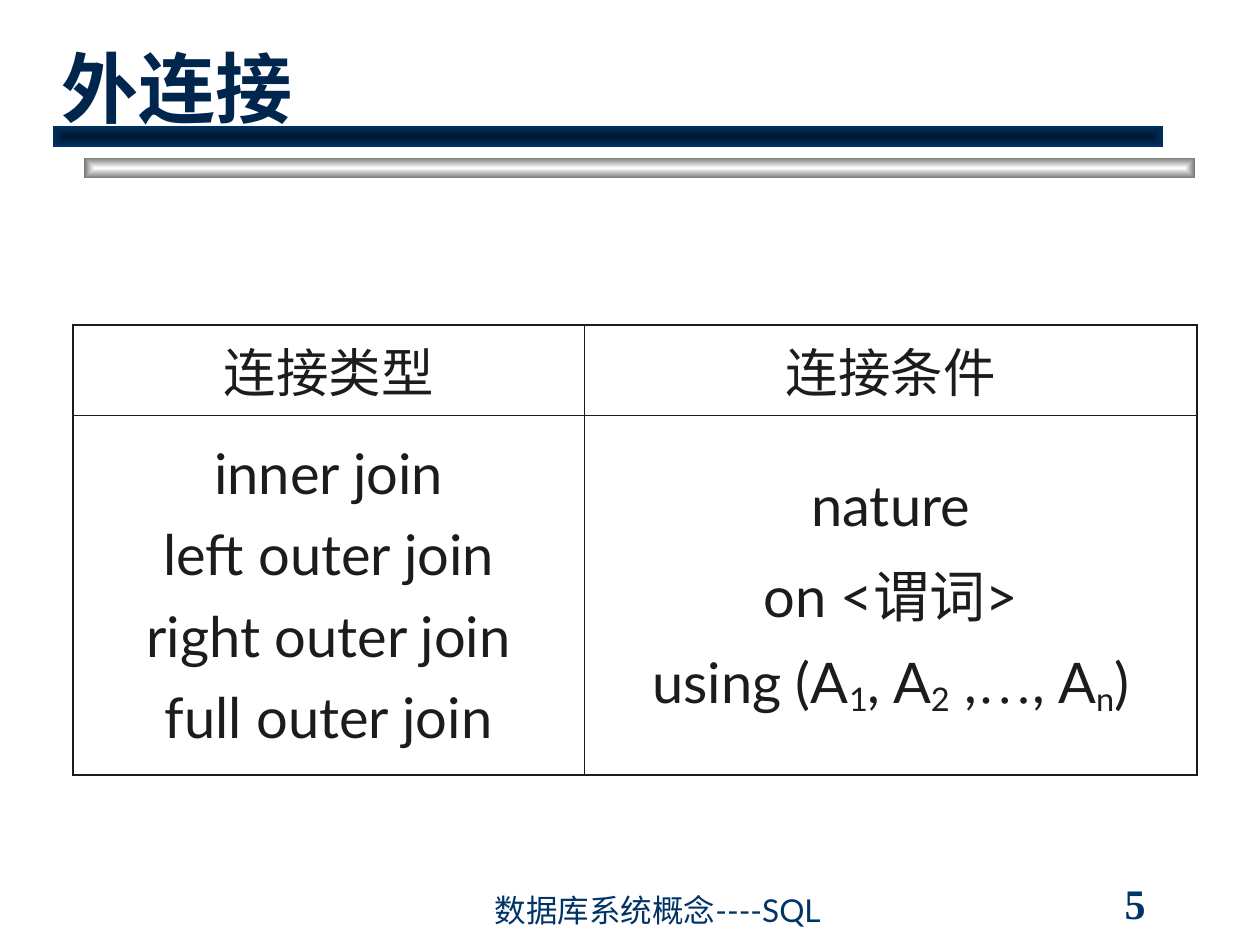
from lxml import etree
from pptx import Presentation
from pptx import util as u
from pptx.dml.color import RGBColor
from pptx.enum import shapes, text
from pptx.oxml import parse_xml
from pptx.oxml.ns import nsdecls, qn

WIDTH, HEIGHT = u.Inches(10), u.Inches(7.5)
WHITE = RGBColor(0xFF, 0xFF, 0xFF)
GREY = RGBColor(0x76, 0x76, 0x76)
NIGHT = RGBColor(0x00, 0x18, 0x2F)
BLUE = RGBColor(0x00, 0x33, 0x66)
NAVY = RGBColor(0x00, 0x26, 0x4D)
INK = RGBColor(0x1C, 0x1C, 0x1C)
BODY_FONT, NUMBER_FONT = "Lato", "Times New Roman"
OUTER_LINE, INNER_LINE = 1.08, 0.45
SUBSCRIPT = "-14000"

HEADINGS = ["连接类型", "连接条件"]
JOIN_TYPES = ["inner join", "left outer join", "right outer join", "full outer join"]
CONDITIONS = [
    ["nature"],
    ["on <谓词>"],
    ["using (A", ("1", True), ", A", ("2", True), " ,", "…", ", A", ("n", True), ")"],
]


def share(left, top, width, height):
    """Turn shares of the slide's size into a box."""
    return tuple(round(part * side) for part, side in
                 zip((left, top, width, height), (WIDTH, HEIGHT) * 2))


def place(shape, box):
    """Move a shape into a box."""
    shape.left, shape.top, shape.width, shape.height = box


def add_run(paragraph, words, size, color, font=BODY_FONT, bold=False, lowered=False):
    """Add one formatted run to a paragraph."""
    run = paragraph.add_run()
    run.text = words
    run.font.size, run.font.name, run.font.bold = u.Pt(size), font, bold
    run.font.color.rgb = color
    if lowered:
        run.font._element.set("baseline", SUBSCRIPT)


def add_bar(slide, box, center, edge):
    """Draw a bar shaded from its centre to its edges."""
    bar = slide.shapes.add_shape(shapes.MSO_SHAPE.RECTANGLE, *box)
    bar.shadow.inherit = False
    bar.line.fill.background()
    bar.fill.gradient()
    for stop, color, position in zip(bar.fill.gradient_stops, (center, edge), (0, 1)):
        stop.color.rgb, stop.position = color, position
    linear = bar._element.spPr.find(".//" + qn("a:lin"))
    linear.getparent().replace(linear, parse_xml(
        f'<a:path {nsdecls("a")} path="rect">'
        '<a:fillToRect l="50000" t="50000" r="50000" b="50000"/></a:path>'))


def add_header(slide, box):
    """Place the two bars and the title above them."""
    left, top, width, height = box
    bar_width, bar_height = round(width * 0.95), round(height * 0.135)
    add_bar(slide, (left + round(width * 0.03), top + round(height * 0.865),
                    bar_width, bar_height), WHITE, GREY)
    add_bar(slide, (left + round(width * 0.003), top + round(height * 0.66),
                    bar_width, bar_height), NIGHT, BLUE)
    title = slide.shapes.title
    place(title, (left, top, width, round(height * 0.75)))
    title._element.getparent().append(title._element)
    frame = title.text_frame
    frame.auto_size, frame.word_wrap = text.MSO_AUTO_SIZE.NONE, True
    frame.vertical_anchor = text.MSO_ANCHOR.BOTTOM
    paragraph = frame.paragraphs[0]
    paragraph.alignment = text.PP_ALIGN.LEFT
    add_run(paragraph, "外连接", 44, NAVY, bold=True)


def add_label(slide, box, anchor, words, size, **style):
    """Place one line of footer text."""
    frame = slide.shapes.add_textbox(*box).text_frame
    frame.word_wrap, frame.vertical_anchor = True, anchor
    add_run(frame.paragraphs[0], words, size, BLUE, **style)


def add_footer(slide, box):
    """Place the course name and the slide number."""
    left, top, width, height = box
    label_height = round(height * 0.8)
    add_label(slide, (left, top + height - label_height, round(width * 0.67), label_height),
              text.MSO_ANCHOR.BOTTOM, "数据库系统概念----SQL", 18)
    number_width = round(width * 0.178)
    add_label(slide, (left + width - number_width, top, number_width, label_height),
              text.MSO_ANCHOR.MIDDLE, "5", 24, font=NUMBER_FONT, bold=True)


def set_borders(cell, row, column):
    """Draw heavier lines on the outside of a two by two table."""
    properties = cell._tc.get_or_add_tcPr()
    outside = (column == 0, column == 1, row == 0, row == 1)
    for index, (side, outer) in enumerate(zip("LRTB", outside)):
        line = etree.Element(qn(f"a:ln{side}"),
                             w=str(u.Pt(OUTER_LINE if outer else INNER_LINE)))
        fill = etree.SubElement(line, qn("a:solidFill"))
        etree.SubElement(fill, qn("a:srgbClr"), val=str(INK))
        properties.insert(index, line)


def fill_cell(cell, lines, size):
    """Write centred lines, each a list of plain or lowered pieces."""
    cell.fill.background()
    cell.vertical_anchor = text.MSO_ANCHOR.MIDDLE
    for index, pieces in enumerate(lines):
        frame = cell.text_frame
        paragraph = frame.add_paragraph() if index else frame.paragraphs[0]
        paragraph.alignment = text.PP_ALIGN.CENTER
        paragraph.space_before = u.Pt(8 if index else 0)
        for piece in pieces:
            words, lowered = piece if isinstance(piece, tuple) else (piece, False)
            font = NUMBER_FONT if words == "…" else BODY_FONT
            add_run(paragraph, words, size, INK, font=font, lowered=lowered)


def add_join_table(slide, box):
    """Place the table of join types and join conditions."""
    left, top, width, height = box
    table = slide.shapes.add_table(2, 2, *box).table
    table.first_row = table.horz_banding = False
    for column, part in zip(table.columns, (0.455, 0.545)):
        column.width = round(width * part)
    for row, part in zip(table.rows, (0.2, 0.8)):
        row.height = round(height * part)
    for column, lines in enumerate(([[name] for name in JOIN_TYPES], CONDITIONS)):
        fill_cell(table.cell(0, column), [[HEADINGS[column]]], 30)
        fill_cell(table.cell(1, column), lines, 32)
        for row in range(2):
            set_borders(table.cell(row, column), row, column)


def main():
    """Build and save the presentation."""
    presentation = Presentation()
    presentation.slide_width, presentation.slide_height = WIDTH, HEIGHT
    slide = presentation.slides.add_slide(presentation.slide_layouts[5])
    add_header(slide, share(0.039, 0.024, 0.928, 0.165))
    add_join_table(slide, share(0.058, 0.344, 0.892, 0.476))
    add_footer(slide, share(0.383, 0.933, 0.608, 0.056))
    presentation.save("out.pptx")


if __name__ == "__main__":
    main()
